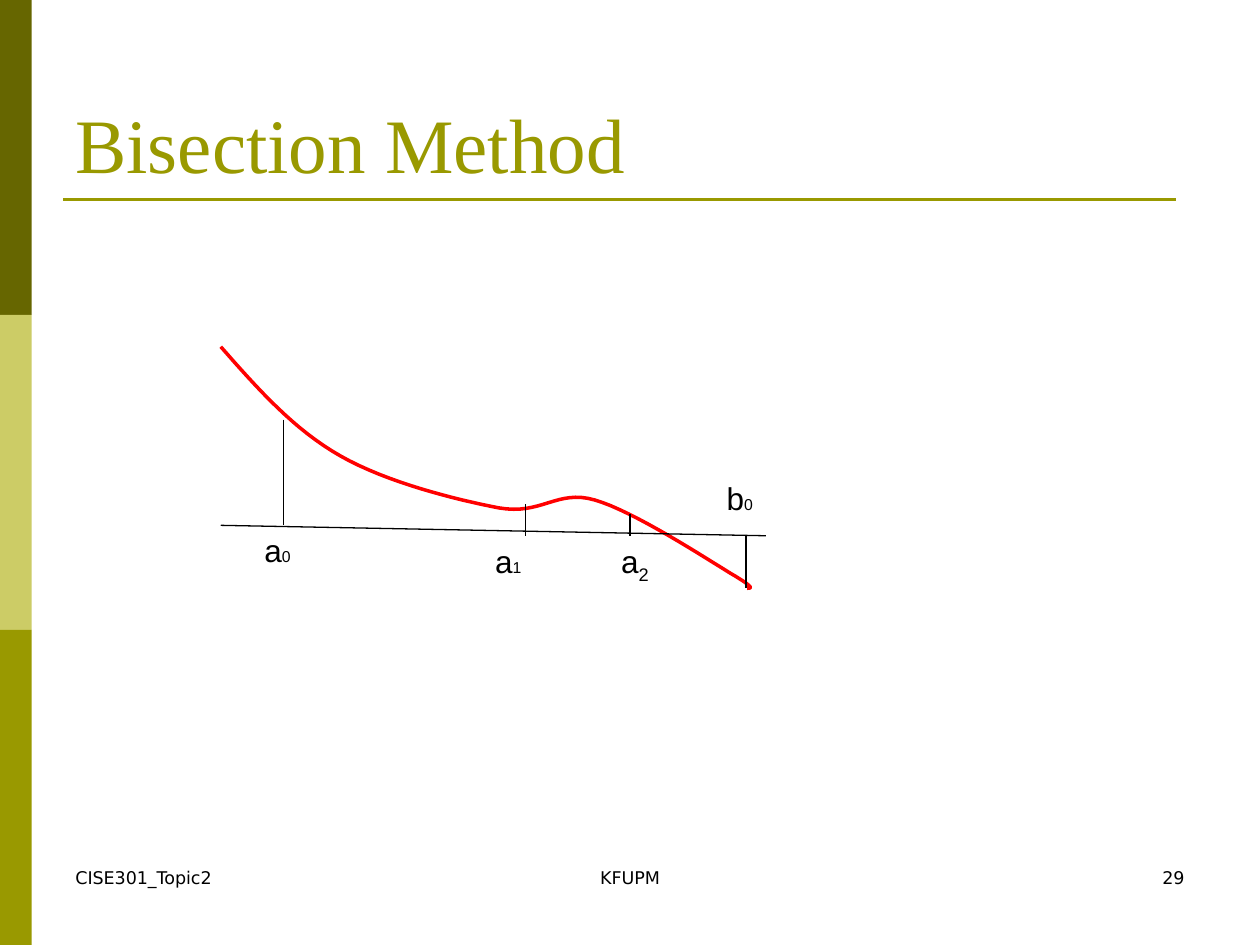
from lxml import etree
from pptx import Presentation, util as u
from pptx.dml.color import RGBColor
from pptx.enum import shapes, text
from pptx.oxml.ns import qn

HUES = {"dark": "666600", "pale": "CCCC66", "olive": "999900",
        "red": "FF0000", "black": "000000"}
SANS, SERIF, FOOT = "Arial", "Times New Roman", "DejaVu Sans"
LEFT, MID, RIGHT = text.PP_ALIGN.LEFT, text.PP_ALIGN.CENTER, text.PP_ALIGN.RIGHT
TOP, LOW = text.MSO_ANCHOR.TOP, text.MSO_ANCHOR.BOTTOM

BANDS = ["dark", "pale", "olive"]
TITLE = "Bisection Method"
FEET = [("CISE301_Topic2", 1.27, 5.93, LEFT),
        ("KFUPM", 8.68, 8.04, MID),
        ("29", 18.2, 5.93, RIGHT)]
START = (4.45, 6.99)
CURVE = [
    ((5.18, 7.82), (5.92, 8.66), (6.86, 9.19)),
    ((7.8, 9.73), (9.22, 10.08), (10.06, 10.24)),
    ((10.92, 10.39), (11.23, 9.86), (11.99, 10.08)),
    ((12.78, 10.31), (14.22, 11.25), (14.73, 11.56)),
    ((15.24, 11.86), (15.14, 11.86), (15.06, 11.86)),
]
AXIS = (4.45, 10.59, 15.44, 10.8)
TICKS = [(5.72, 8.46, 10.59), (15.04, 10.8, 11.86),
         (10.59, 10.16, 10.8), (12.7, 10.36, 10.8)]
MARKS = [("a", "0", 5.08, 10.59, 1.9, 9, 0),
         ("b", "0", 14.4, 9.53, 1.9, 9, 0),
         ("a", "1", 9.73, 10.8, 1.9, 9, 0),
         ("a", "2", 12.27, 10.8, 1.27, 18, -25000)]

deck = Presentation()
deck.slide_width, deck.slide_height = u.Cm(25.4), u.Cm(19.05)
slide = deck.slides.add_slide(deck.slide_layouts[6])


def tint(name):
    return RGBColor.from_string(HUES[name])


def rule(x1, y1, x2, y2, hue="black", width=0.75):
    line = slide.shapes.add_connector(
        shapes.MSO_CONNECTOR.STRAIGHT, *map(u.Cm, (x1, y1, x2, y2)))
    line.line.color.rgb = tint(hue)
    line.line.width = u.Pt(width)
    etree.SubElement(line._element.spPr, qn("a:effectLst"))


def label(runs, x, y, w, h, font, hue="black", align=LEFT, anchor=TOP):
    frame = slide.shapes.add_textbox(*map(u.Cm, (x, y, w, h))).text_frame
    frame.word_wrap = True
    frame.vertical_anchor = anchor
    para = frame.paragraphs[0]
    para.alignment = align
    for words, size, shift in runs:
        run = para.add_run()
        run.text = words
        run.font.name, run.font.size = font, u.Pt(size)
        run.font.color.rgb = tint(hue)
        if shift:
            run._r.get_or_add_rPr().set("baseline", str(shift))


def trace(start, parts, steps=16):
    for one, two, end in parts:
        for i in range(1, steps + 1):
            t = i / steps
            s = 1 - t
            yield tuple(
                u.Cm(s**3 * a + 3 * s * s * t * b + 3 * s * t * t * c + t**3 * d)
                for a, b, c, d in zip(start, one, two, end))
        start = end


tall = 19.05 / len(BANDS)
for i, hue in enumerate(BANDS):
    band = slide.shapes.add_shape(
        shapes.MSO_SHAPE.RECTANGLE, *map(u.Cm, (0, i * tall, 0.64, tall)))
    band.shadow.inherit = False
    band.fill.solid()
    band.fill.fore_color.rgb = tint(hue)
    band.line.fill.background()

rule(1.27, 4.02, 23.7, 4.02, "olive", 1.5)
label([(TITLE, 44, 0)], 1.27, 0.76, 22.86, 3.18, SERIF, "olive", anchor=LOW)
for words, x, w, align in FEET:
    label([(words, 10, 0)], x, 17.35, w, 1.27, FOOT, align=align)

pen = slide.shapes.build_freeform(*map(u.Cm, START))
pen.add_line_segments(trace(START, CURVE), close=False)
curve = pen.convert_to_shape()
curve.shadow.inherit = False
curve.fill.background()
curve.line.color.rgb = tint("red")
curve.line.width = u.Pt(2)

rule(*AXIS)
for x, top, end in TICKS:
    rule(x, top, x, end)
for name, sub, x, y, w, size, shift in MARKS:
    label([(name, 18, 0), (sub, size, shift)], x, y, w, 1.02, SANS)

deck.save("out.pptx")
